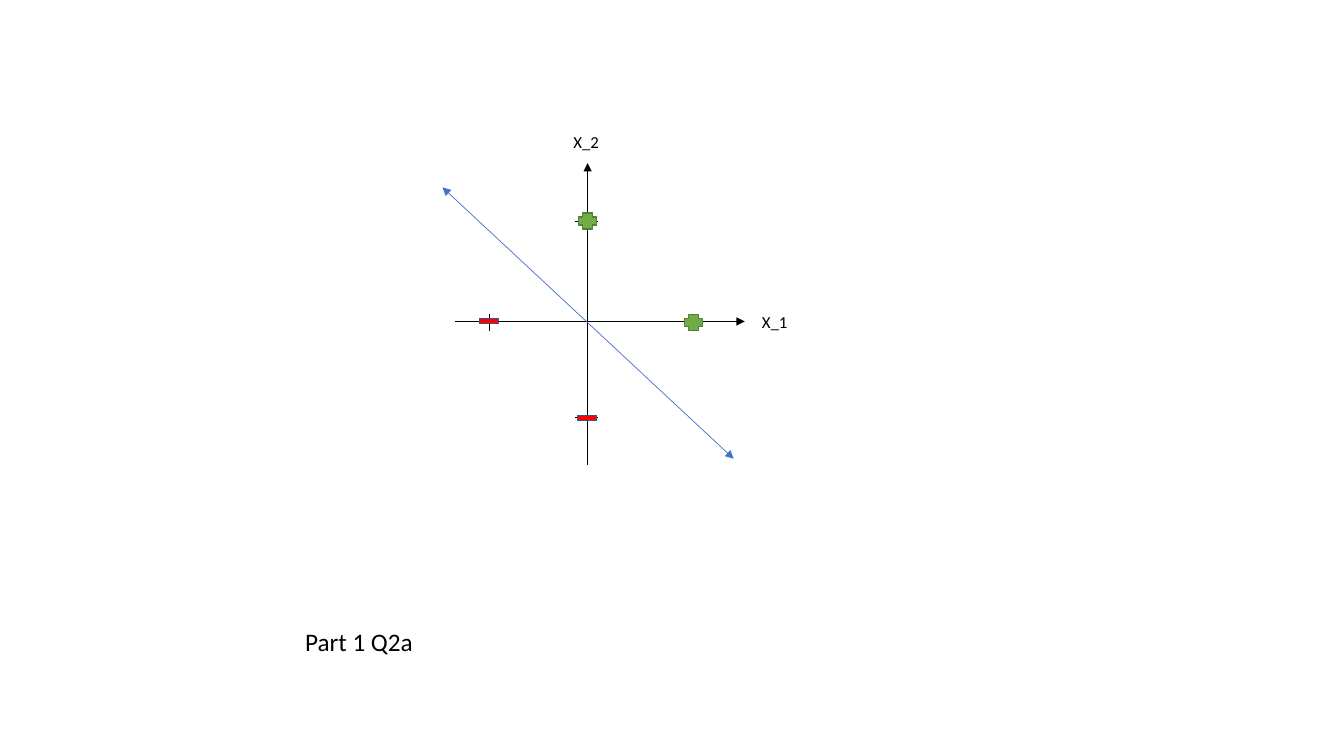
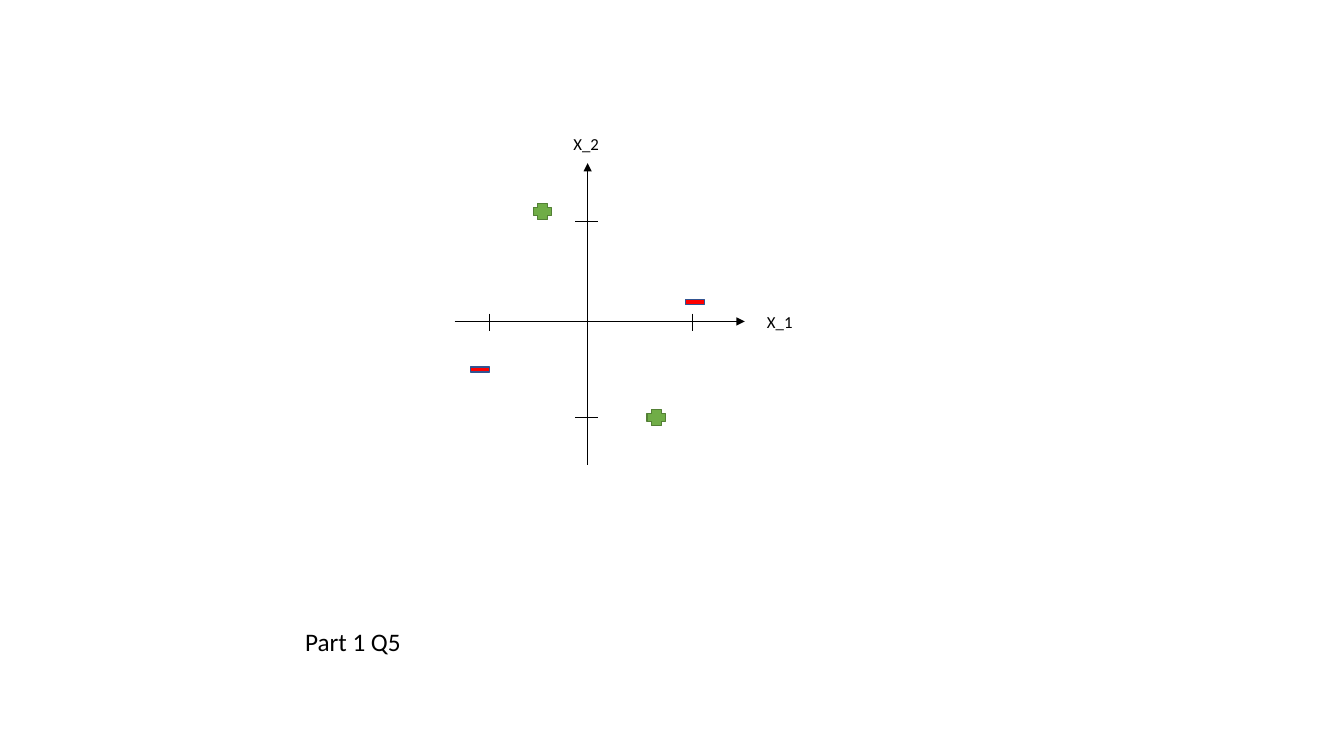
from lxml import etree
from pptx import Presentation
from pptx.dml.color import RGBColor
from pptx.enum.shapes import MSO_CONNECTOR as Link, MSO_SHAPE as Kind
from pptx.enum.text import MSO_AUTO_SIZE as Fit
from pptx.oxml.ns import qn
from pptx.util import Cm, Pt

# Shared style
FONT = "Calibri"
BLACK, BLUE = "000000", "4472C4"
# Marker style: preset, width, height, fill, outline
PLUS = (Kind.CROSS, 0.46, 0.41, "70AD47", "538035")
MINUS = (Kind.RECTANGLE, 0.48, 0.13, "FF0000", "325491")

# Shared axes, in cm
OX, OY = 14.81, 8.1
AXES = [(OX, 11.71, OX, 4.11), (11.46, OY, 18.77, OY)]
TICKS = [(14.5, y, 15.06, y) for y in (5.59, 10.52)]
TICKS += [(x, 7.9, x, 8.33) for x in (17.45, 12.32)]

# Per slide: caption, top of X_2, left of X_1, dividing line, marker centres
PLOTS = [
    ("Part 1 Q2a", 3.2, 18.95, (18.49, 11.56, 11.15, 4.72),
     [(PLUS, OX, 5.57), (PLUS, 17.48, 8.13),
      (MINUS, 12.33, 8.09), (MINUS, 14.8, 10.53)]),
    ("Part 1 Q5", 3.25, 19.08, None,
     [(PLUS, 13.67, 5.33), (PLUS, 16.54, 10.52),
      (MINUS, 12.1, 9.31), (MINUS, 17.51, 7.61)]),
]


def paint(color, code):
    color.rgb = RGBColor.from_string(code)


def draw(slide, ends, code=BLACK, tips=()):
    line = slide.shapes.add_connector(Link.STRAIGHT, *map(Cm, ends))
    line.line.width = Pt(0.5)
    paint(line.line.color, code)
    for tip in tips:
        etree.SubElement(line.line._get_or_add_ln(), qn(tip), type="triangle")
    etree.SubElement(line._element.spPr, qn("a:effectLst"))


deck = Presentation()
deck.slide_width, deck.slide_height = Cm(33.87), Cm(19.05)

for title, top, left, split, marks in PLOTS:
    slide = deck.slides.add_slide(deck.slide_layouts[6])

    # Axes and ticks
    for ends in AXES:
        draw(slide, ends, tips=["a:tailEnd"])
    for ends in TICKS:
        draw(slide, ends)

    # Dividing line
    if split:
        draw(slide, split, BLUE, ["a:headEnd", "a:tailEnd"])

    # Markers
    for (kind, w, h, fill, edge), x, y in marks:
        mark = slide.shapes.add_shape(
            kind, Cm(x - w / 2), Cm(y - h / 2), Cm(w), Cm(h))
        mark.shadow.inherit = False
        mark.fill.solid()
        paint(mark.fill.fore_color, fill)
        paint(mark.line.color, edge)
        mark.line.width = Pt(1)

    # Axis labels and caption
    for text, x, y, w, h, size, wrap in [
        ("X_2", 14.2, top, 1.17, 0.76, 12, False),
        ("X_1", left, 7.72, 1.17, 0.76, 12, False),
        (title, 7.44, 15.67, 7.77, 1.02, 18, True),
    ]:
        box = slide.shapes.add_textbox(Cm(x), Cm(y), Cm(w), Cm(h))
        frame = box.text_frame
        frame.text = text
        frame.word_wrap = wrap
        frame.auto_size = Fit.SHAPE_TO_FIT_TEXT
        font = frame.paragraphs[0].runs[0].font
        font.name, font.size = FONT, Pt(size)
        paint(font.color, BLACK)

deck.save("out.pptx")
